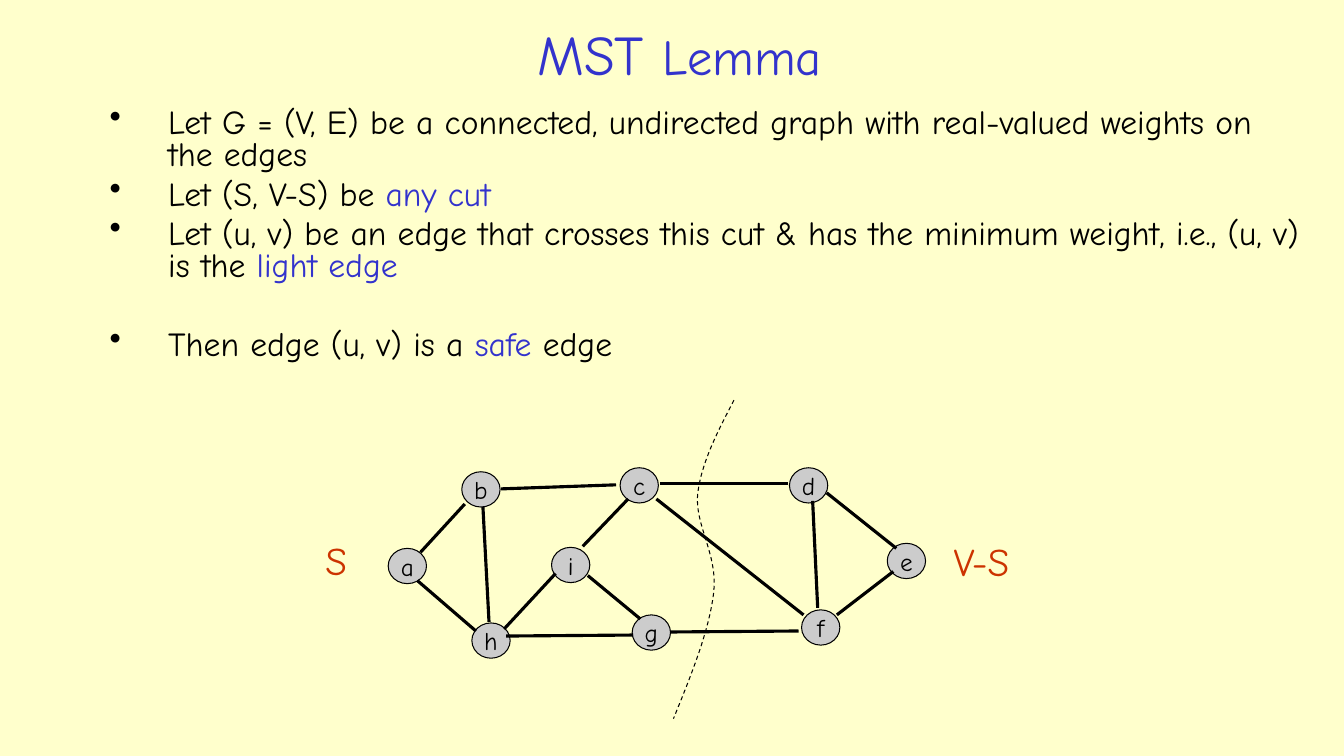
from dataclasses import dataclass
from typing import NamedTuple

from lxml.etree import SubElement
from pptx import Presentation
from pptx.dml.color import RGBColor as RGB
from pptx.enum.dml import MSO_LINE_DASH_STYLE as Dash
from pptx.enum.shapes import MSO_CONNECTOR as Link, MSO_SHAPE as Kind
from pptx.enum.text import MSO_ANCHOR as Anchor, MSO_AUTO_SIZE as Fit, PP_ALIGN as Align
from pptx.oxml.ns import qn
from pptx.util import Inches, Pt


@dataclass(frozen=True)
class Theme:
    font: str = "Comic Neue"
    paper: RGB = RGB(0xFF, 0xFF, 0xCC)
    ink: RGB = RGB(0, 0, 0)
    blue: RGB = RGB(0x33, 0x33, 0xCC)
    red: RGB = RGB(0xCC, 0x33, 0x00)
    gray: RGB = RGB(0xCC, 0xCC, 0xCC)
    title: int = 40
    lemma: int = 36
    body: int = 24
    node: int = 18
    label: int = 28
    thin: float = 0.75
    thick: float = 2.25


class Span(NamedTuple):
    text: str
    color: RGB


class Item(NamedTuple):
    spans: list[Span]
    gap: int = 5


class Node(NamedTuple):
    name: str
    x: float
    y: float


class Edge(NamedTuple):
    x1: float
    y1: float
    x2: float
    y2: float


class Label(NamedTuple):
    text: str
    x: float
    y: float
    w: float


T = Theme()
NODE_W, NODE_H = 0.38, 0.35
INDENT = Inches(0.58)

ITEMS = [
    Item([Span("Let G = (V, E) be a connected, undirected graph with "
               "real-valued weights on the edges", T.ink)]),
    Item([Span("Let (S, V-S) be ", T.ink), Span("any cut", T.blue)]),
    Item([Span("Let (u, v) be an edge that crosses this cut & has the "
               "minimum weight, i.e., (u, v) is the ", T.ink),
          Span("light edge", T.blue)]),
    Item([Span("Then edge (u, v) is a ", T.ink), Span("safe", T.blue),
          Span(" edge", T.ink)], gap=33),
]
NODES = [
    Node("a", 3.85, 5.44), Node("b", 4.58, 4.68), Node("c", 6.15, 4.64),
    Node("h", 4.68, 6.18), Node("g", 6.27, 6.1), Node("f", 7.95, 6.05),
    Node("d", 7.83, 4.64), Node("e", 8.8, 5.39), Node("i", 5.47, 5.43),
]
EDGES = [
    Edge(4.14, 5.76, 4.72, 6.26),  # a-h
    Edge(4.17, 5.48, 4.61, 5),     # a-b
    Edge(4.85, 6.17, 4.79, 5.03),  # h-b
    Edge(6.11, 4.81, 4.97, 4.85),  # c-b
    Edge(7.82, 4.8, 6.55, 4.8),    # d-c
    Edge(8.89, 5.44, 8.2, 4.89),   # e-d
    Edge(6.28, 6.3, 5.02, 6.31),   # g-h
    Edge(7.92, 6.26, 6.65, 6.27),  # f-g
    Edge(8.3, 6.1, 8.86, 5.67),    # f-e
    Edge(8.11, 6.03, 8.06, 4.97),  # f-d
    Edge(5.78, 5.42, 6.23, 4.95),  # i-c
    Edge(5, 6.24, 5.51, 5.69),     # h-i
    Edge(5.83, 5.71, 6.35, 6.14),  # i-g
    Edge(6.51, 4.95, 7.97, 6.1),   # c-f
]
# Start of the cut, then two handles and an end for each curve
CUT = [(7.28, 3.97), (7.12, 4.28), (6.96, 4.58), (6.92, 4.9),
       (6.89, 5.21), (7.12, 5.5), (7.08, 5.87),
       (7.04, 6.24), (6.86, 6.69), (6.68, 7.13)]
LABELS = [Label("S", 3.13, 5.27, 0.47), Label("V-S", 9.36, 5.28, 0.89)]


def add_run(para, text: str, size: int, color: RGB) -> None:
    run = para.add_run()
    run.text = text
    run.font.name = T.font
    run.font.size = Pt(size)
    run.font.color.rgb = color


def add_title(slide) -> None:
    title = slide.shapes.title
    title.left, title.top = Inches(1.97), Inches(0.15)
    title.width, title.height = Inches(9.54), Inches(0.76)
    frame = title.text_frame
    frame.auto_size = Fit.NONE
    frame.vertical_anchor = Anchor.MIDDLE
    para = frame.paragraphs[0]
    para.alignment = Align.CENTER
    add_run(para, "MST ", T.title, T.blue)
    add_run(para, "Lemma", T.lemma, T.blue)


def add_body(slide) -> None:
    box = slide.shapes.add_textbox(Inches(0.99), Inches(1.03), Inches(12.07), Inches(2.68))
    frame = box.text_frame
    frame.word_wrap = True
    for i, item in enumerate(ITEMS):
        para = frame.add_paragraph() if i else frame.paragraphs[0]
        para.line_spacing = 0.8
        para.space_before = Pt(item.gap)
        props = para._p.get_or_add_pPr()
        props.set("marL", str(INDENT))
        props.set("indent", str(-INDENT))
        SubElement(props, qn("a:buChar")).set("char", "•")
        for span in item.spans:
            add_run(para, span.text, T.body, span.color)


def add_node(slide, node: Node) -> None:
    shape = slide.shapes.add_shape(Kind.OVAL, Inches(node.x), Inches(node.y),
                                   Inches(NODE_W), Inches(NODE_H))
    shape.shadow.inherit = False
    shape.fill.solid()
    shape.fill.fore_color.rgb = T.gray
    shape.line.color.rgb = T.ink
    shape.line.width = Pt(T.thin)
    frame = shape.text_frame
    frame.word_wrap = False
    frame.vertical_anchor = Anchor.MIDDLE
    para = frame.paragraphs[0]
    para.alignment = Align.CENTER
    add_run(para, node.name, T.node, T.ink)


def add_edge(slide, edge: Edge) -> None:
    line = slide.shapes.add_connector(Link.STRAIGHT, *map(Inches, edge))
    line.line.color.rgb = T.ink
    line.line.width = Pt(T.thick)
    SubElement(line._element.spPr, qn("a:effectLst"))


def bend(a: float, b: float, c: float, d: float, t: float) -> float:
    s = 1 - t
    return s**3 * a + 3 * s * s * t * b + 3 * s * t * t * c + t**3 * d


def add_cut(slide, steps: int = 16) -> None:
    points = []
    for i in range(0, len(CUT) - 1, 3):
        xs, ys = zip(*CUT[i:i + 4])
        for k in range(1, steps + 1):
            t = k / steps
            points.append((Inches(bend(*xs, t)), Inches(bend(*ys, t))))
    pen = slide.shapes.build_freeform(*map(Inches, CUT[0]))
    pen.add_line_segments(points, close=False)
    curve = pen.convert_to_shape()
    curve.shadow.inherit = False
    curve.fill.background()
    curve.line.color.rgb = T.ink
    curve.line.width = Pt(T.thin)
    curve.line.dash_style = Dash.DASH


def add_label(slide, label: Label) -> None:
    box = slide.shapes.add_textbox(Inches(label.x), Inches(label.y),
                                   Inches(label.w), Inches(0.57))
    box.text_frame.word_wrap = False
    box.text_frame.auto_size = Fit.SHAPE_TO_FIT_TEXT
    add_run(box.text_frame.paragraphs[0], label.text, T.label, T.red)


def main() -> None:
    deck = Presentation()
    deck.slide_width, deck.slide_height = Inches(13.33), Inches(7.5)
    slide = deck.slides.add_slide(deck.slide_layouts[5])
    slide.background.fill.solid()
    slide.background.fill.fore_color.rgb = T.paper
    # Text
    add_title(slide)
    add_body(slide)
    # Graph and its cut
    for node in NODES:
        add_node(slide, node)
    for edge in EDGES:
        add_edge(slide, edge)
    add_cut(slide)
    for label in LABELS:
        add_label(slide, label)
    deck.save("out.pptx")


if __name__ == "__main__":
    main()
